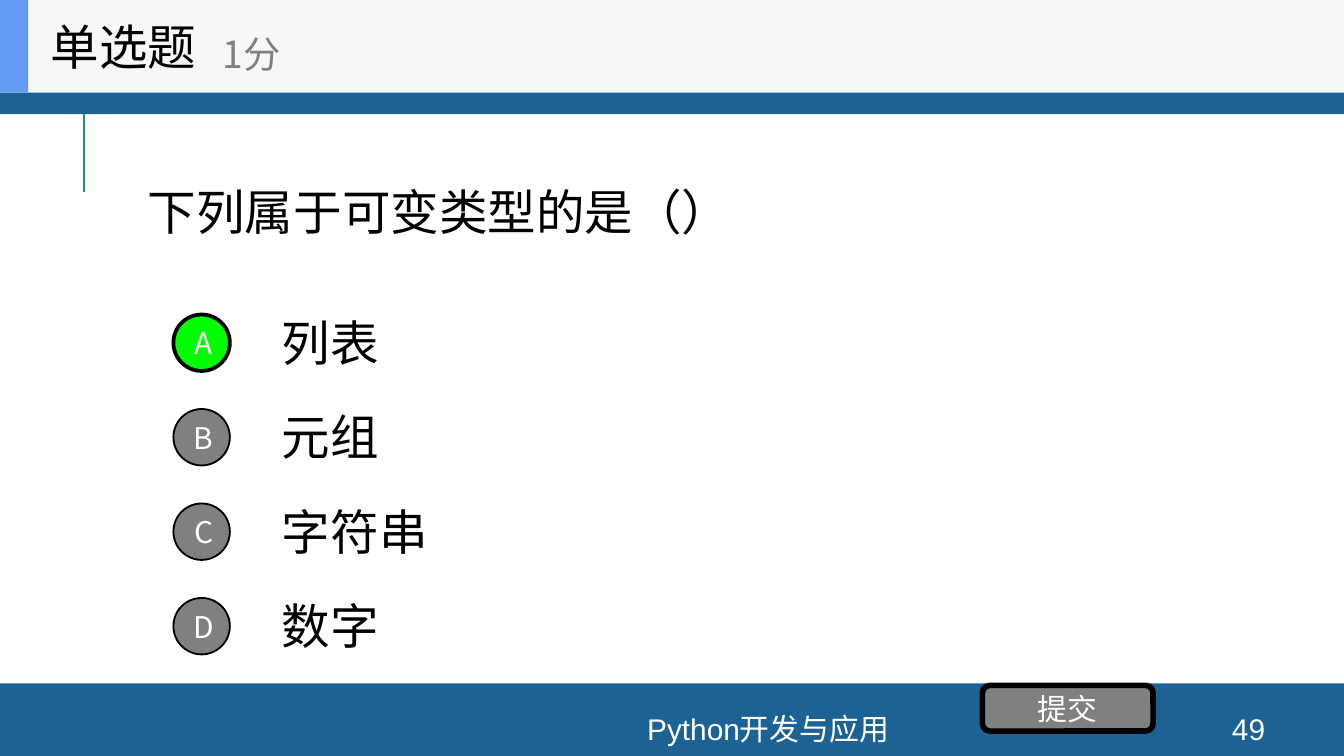
from dataclasses import dataclass
from typing import NamedTuple, Optional

from pptx import Presentation
from pptx import util as u
from pptx.dml.color import RGBColor
from pptx.enum import shapes, text
from pptx.oxml.ns import qn
from lxml import etree


@dataclass(frozen=True)
class Theme:
    band: str = "1D6294"
    rule: str = "2683C6"
    header: str = "F6F7F8"
    accent: str = "639EF4"
    correct: str = "00FF00"
    grey: str = "808080"
    black: str = "000000"
    white: str = "FFFFFF"
    large: int = 26
    medium: int = 20
    small: int = 16
    cjk: str = "Noto Sans CJK SC"
    latin: str = "Arial"


class Box(NamedTuple):
    """Left, top, width and height in grid columns and rows."""
    x: float
    y: float
    w: float
    h: float


class Option(NamedTuple):
    letter: str
    answer: str
    correct: bool = False


T = Theme()
COLS = 10
ROWS = COLS * 9 / 16
CELL = u.Inches(1)
OPTIONS = [Option("A", "列表", True), Option("B", "元组"),
           Option("C", "字符串"), Option("D", "数字")]
OPTION_TOP, OPTION_STEP = 2.28, ROWS / 8
ALIGN = text.PP_ALIGN
KIND = shapes.MSO_SHAPE


def grid(n: float) -> int:
    return round(n * CELL)


def place(sp, box: Box) -> None:
    sp.left, sp.top, sp.width, sp.height = map(grid, box)


def write(sp, words: str, *, size: int = T.large, color: str = T.black,
          font: str = T.cjk, align=ALIGN.LEFT, inset: float = 0.1) -> None:
    tf = sp.text_frame
    tf.word_wrap = True
    tf.auto_size = text.MSO_AUTO_SIZE.NONE
    tf.vertical_anchor = text.MSO_ANCHOR.MIDDLE
    tf.margin_left = tf.margin_right = grid(inset)
    tf.margin_top = tf.margin_bottom = grid(inset / 2)
    p = tf.paragraphs[0]
    p.alignment = align
    r = p.add_run()
    r.text = words
    r.font.size = u.Pt(size)
    r.font.name = font
    r.font.color.rgb = RGBColor.from_string(color)
    etree.SubElement(r.font._element, qn("a:ea"), typeface=T.cjk)


def add_label(s, box: Box, words: str, **fmt) -> None:
    write(s.shapes.add_textbox(*map(grid, box)), words, **fmt)


def add_shape(s, kind, box: Box, fill: str, line: Optional[float] = None):
    sp = s.shapes.add_shape(kind, *map(grid, box))
    sp.shadow.inherit = False
    sp.fill.solid()
    sp.fill.fore_color.rgb = RGBColor.from_string(fill)
    if line is None:
        sp.line.fill.background()
    else:
        sp.line.color.rgb = RGBColor.from_string(T.black)
        sp.line.width = u.Pt(line)
    return sp


def add_rule(s, x: float, top: float, bottom: float) -> None:
    line = s.shapes.add_connector(shapes.MSO_CONNECTOR.STRAIGHT,
                                  grid(x), grid(bottom), grid(x), grid(top))
    line.line.color.rgb = RGBColor.from_string(T.rule)
    line.line.width = u.Pt(1.5)
    etree.SubElement(line._element.spPr, qn("a:effectLst"))


def add_option(s, row: int, option: Option) -> None:
    top = OPTION_TOP + row * OPTION_STEP
    add_label(s, Box(2, top, 7, 0.53), option.answer)
    fill, line = (T.correct, 2) if option.correct else (T.grey, 1)
    badge = add_shape(s, KIND.OVAL, Box(1.29, top + 0.06, 0.42, 0.42), fill, line)
    write(badge, option.letter, size=T.small, color=T.white,
          align=ALIGN.CENTER, inset=0)
    badge.text_frame.margin_left = grid(0.03)


def main() -> None:
    prs = Presentation()
    prs.slide_width, prs.slide_height = grid(COLS), grid(ROWS)
    s = prs.slides.add_slide(prs.slide_layouts[5])

    # Question
    place(s.shapes.title, Box(1, 0.69, 8, 1.76))
    write(s.shapes.title, "下列属于可变类型的是（）")

    # Frame and footer
    add_rule(s, COLS / 16, 0.68, 1.43)
    add_shape(s, KIND.RECTANGLE, Box(0, ROWS - 0.54, COLS, 0.54), T.band)
    add_shape(s, KIND.RECTANGLE, Box(0, -0.03, COLS, 0.88), T.band)
    footer = dict(size=T.small, color=T.white, font=T.latin, align=ALIGN.CENTER)
    add_label(s, Box(2.61, 5.31, 6.21, 0.23), "Python开发与应用", **footer)
    add_label(s, Box(8.89, 5.31, 0.8, 0.23), "49", **footer)

    # Answers and submit button
    for row, option in enumerate(OPTIONS):
        add_option(s, row, option)
    button = add_shape(s, KIND.ROUNDED_RECTANGLE, Box(7.31, 5.1, 1.27, 0.34), T.grey, 3)
    write(button, "提交", size=T.small, color=T.white, align=ALIGN.CENTER, inset=0)

    # Question type header
    add_shape(s, KIND.RECTANGLE, Box(0, 0, COLS, 0.69), T.header)
    add_shape(s, KIND.RECTANGLE, Box(0, 0, 0.21, 0.69), T.accent)
    add_label(s, Box(0.28, 0, 2.08, 0.69), "单选题")
    add_label(s, Box(1.56, 0.12, 2.5, 0.56), "1分", size=T.medium, color=T.grey)

    prs.save("out.pptx")


if __name__ == "__main__":
    main()
